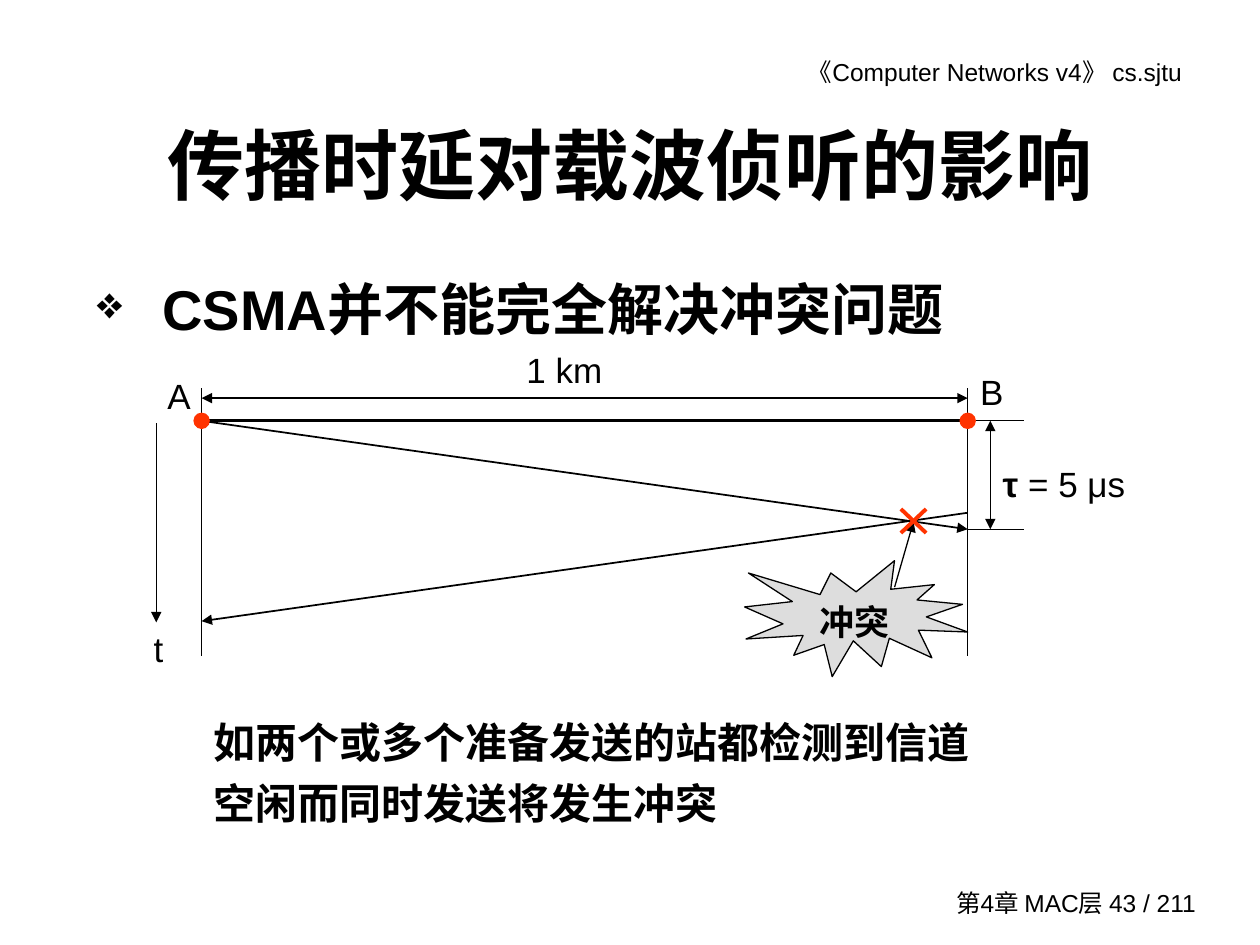
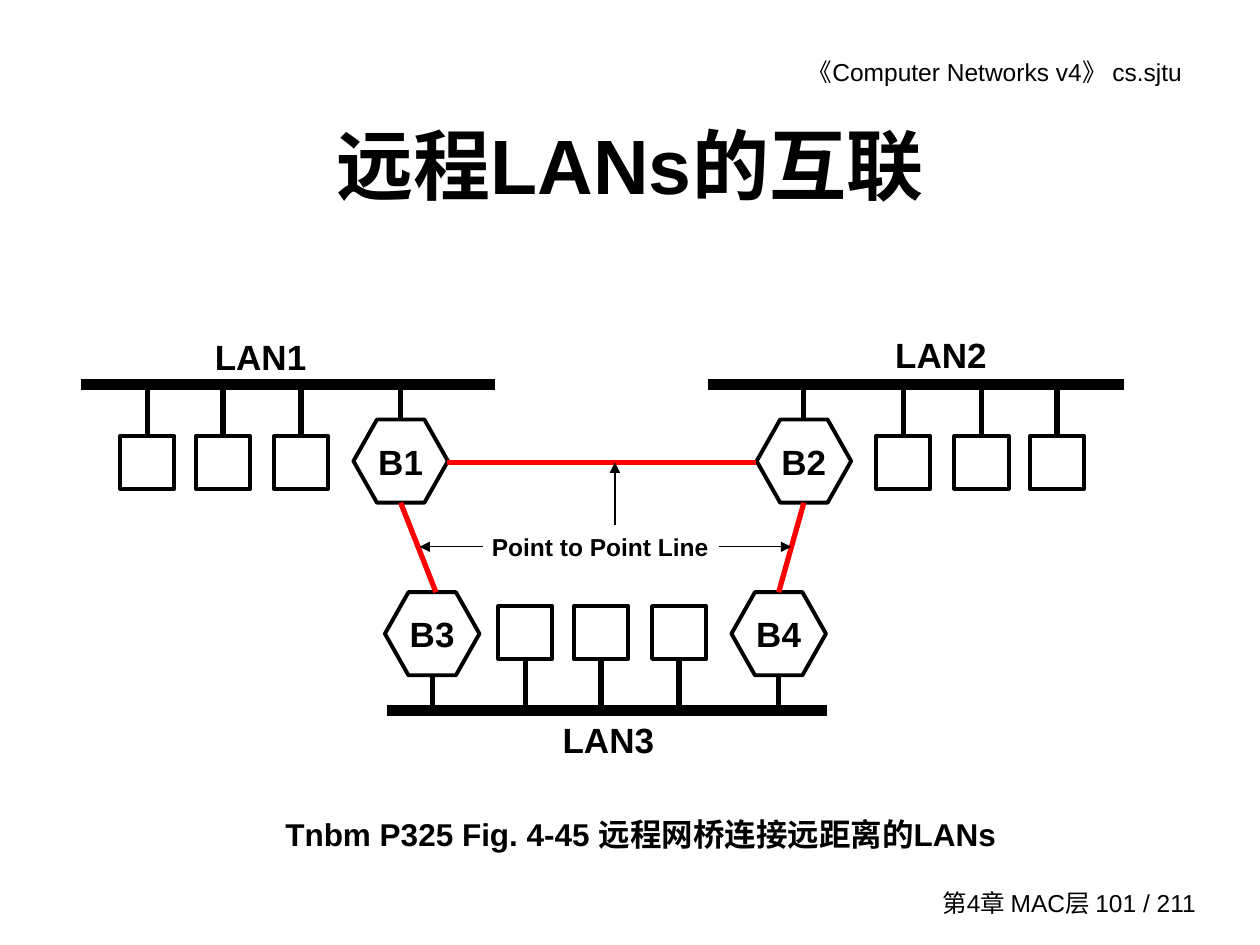
import pptx
import pptx.util
import pptx.dml.color
import pptx.enum.shapes
import pptx.enum.text
import pptx.oxml.ns
import lxml.etree

RGB = pptx.dml.color.RGBColor
KIND = pptx.enum.shapes.MSO_SHAPE
ALIGN = pptx.enum.text.PP_ALIGN
MID = pptx.enum.text.MSO_ANCHOR.MIDDLE
TOP = pptx.enum.text.MSO_ANCHOR.TOP
BLACK = RGB(0, 0, 0)
GREY = RGB(0xDD, 0xDD, 0xDD)
RED = RGB(0xFF, 0, 0)
CORAL = RGB(0xFF, 0x33, 0)
WIDTH, COLS = pptx.util.Inches(10), 10
CELL = WIDTH / COLS
HEIGHT = int(CELL * 7.5)
PAD = (0.1, 0.05, 0.1, 0.05)
SLIM = (0.02, 0.01, 0.02, 0.01)

HEAD = "《Computer Networks v4》 cs.sjtu"
FOOT = "第4章 MAC层 {} / 211"
TIMES = {"name": "Times New Roman"}
DELAY = {
    "page": 43,
    "title": [("传播时延对载波", TIMES), ("侦", {}), ("听的影响", TIMES)],
    "point": "CSMA并不能完全解决冲突问题",
    "note": "如两个或多个准备发送的站都检测到信道空闲而同时发送将发生冲突",
    "burst": "冲突",
}
LEFT, RIGHT, WIRE, LATE = 1.6, 7.68, 3.34, 4.2
RAYS = [
    ((LEFT, WIRE), (RIGHT, WIRE), 1.5, ""),
    ((LEFT, 3.08), (LEFT, 5.21), 0.75, ""),
    ((RIGHT, 3.08), (RIGHT, 5.21), 0.75, ""),
    ((LEFT, 3.16), (RIGHT, 3.16), 0.75, "both"),
    ((LEFT, WIRE), (RIGHT, LATE), 1, "tail"),
    ((LEFT, 4.93), (RIGHT, 4.07), 1, "head"),
    ((RIGHT, LATE), (8.13, LATE), 0.75, ""),
    ((RIGHT, WIRE), (8.13, WIRE), 0.75, ""),
    ((1.24, 3.36), (1.24, 4.94), 0.75, "tail"),
    ((7.86, WIRE), (7.86, LATE), 0.75, "both"),
    ((7.1, 4.66), (7.25, 4.14), 0.75, "tail"),
]
TAGS = [
    ((1.23, 2.92, 0.42, 0.46), "A", 1),
    ((4.08, 2.81, 0.9, 0.28), "1 km", 0.7),
    ((RIGHT, 2.89, 0.54, 0.54), "B", 1),
    ((7.86, 3.62, 1.39, 0.56), [("τ", {"bold": True}), (" = 5 μs", {})], 1),
    ((1.12, 4.93, 0.48, 0.43), "t", 1),
]
REMOTE = {
    "page": 101,
    "title": "远程LANs的互联",
    "label": "Point to Point Line",
    "note": "Tnbm P325 Fig. 4-45 远程网桥连接远距离的LANs",
}
STEPS = (0, 0.6, 1.22)
LANS = [
    {"name": "LAN1", "tag": (1.53, 2.61), "bar": (0.64, 3.93), "row": 3.05,
     "down": 1, "host": 1.17, "way": 1, "nodes": {"B1": 3.18}},
    {"name": "LAN2", "tag": (6.93, 2.6), "bar": (5.62, 8.92), "row": 3.05,
     "down": 1, "host": 8.39, "way": -1, "nodes": {"B2": 6.38}},
    {"name": "LAN3", "tag": (4.29, 5.65), "bar": (3.07, 6.56), "row": 5.64,
     "down": -1, "host": 4.17, "way": 1, "nodes": {"B3": 3.43, "B4": 6.18}},
]
LINKS = [((3.55, 3.67), (6, 3.67)), ((3.18, 3.99), (3.46, 4.7)),
         ((6.38, 3.99), (6.18, 4.7))]
HINTS = [((4.88, 4.17), (4.88, 3.67)), ((3.83, 4.34), (3.33, 4.34)),
         ((5.71, 4.34), (6.28, 4.34))]


def cells(*spans):
    return [round(span * CELL) for span in spans]


def node(parent, tag, **attrs):
    return lxml.etree.SubElement(parent, pptx.oxml.ns.qn(tag), attrs)


def write(shape, words, size, bold=False, align=ALIGN.LEFT, anchor=TOP,
          pad=PAD, space=1, wrap=True, bullet=""):
    frame = shape.text_frame
    sides = ("margin_left", "margin_top", "margin_right", "margin_bottom")
    look = dict(zip(sides, cells(*pad)), word_wrap=wrap, vertical_anchor=anchor)
    for key, value in look.items():
        setattr(frame, key, value)
    para = frame.paragraphs[0]
    para.alignment = align
    if space != 1:
        para.line_spacing = space
    if bullet:
        props = para._p.get_or_add_pPr()
        hang = cells(0.52)[0]
        props.set("marL", str(hang))
        props.set("indent", str(-hang))
        node(props, "a:buSzPct", val="80000")
        node(props, "a:buChar", char=bullet)
    for part, extra in [(words, {})] if isinstance(words, str) else words:
        run = para.add_run()
        run.text = part
        font = {"name": "Arial", "size": pptx.util.Pt(size), "bold": bold}
        for key, value in {**font, **extra}.items():
            setattr(run.font, key, value)
        run.font.color.rgb = BLACK


def text(slide, at, words, size, **look):
    write(slide.shapes.add_textbox(*cells(*at)), words, size, **look)


def shape(slide, kind, at, line=BLACK, width=2.25, fill=None):
    item = slide.shapes.add_shape(kind, *cells(*at))
    item.shadow.inherit = False
    if fill is None:
        item.fill.background()
    else:
        item.fill.solid()
        item.fill.fore_color.rgb = fill
    item.line.color.rgb = line
    item.line.width = pptx.util.Pt(width)
    return item


def line(slide, start, end, width=0.75, tips="", color=BLACK):
    item = slide.shapes.add_connector(
        pptx.enum.shapes.MSO_CONNECTOR.STRAIGHT, *cells(*start, *end))
    item.line.color.rgb = color
    item.line.width = pptx.util.Pt(width)
    stroke = item.line._get_or_add_ln()
    for tip in ("head", "tail"):
        if tips in (tip, "both"):
            node(stroke, f"a:{tip}End", type="triangle")
    node(item._element.spPr, "a:effectLst")
    return item


def start(deck, data):
    slide = deck.slides.add_slide(deck.slide_layouts[6])
    text(slide, (4.76, 0.4, 4.82, 0.34), HEAD, 14, align=ALIGN.RIGHT,
         pad=(0.1, 0.05, 0.2, 0.05))
    text(slide, (7.3, 7, 2.29, 0.33), FOOT.format(data["page"]), 14,
         align=ALIGN.RIGHT, anchor=MID)
    text(slide, (0.75, 0.67, 8.5, 1.25), data["title"], 44, bold=True,
         align=ALIGN.CENTER, anchor=MID, pad=SLIM)
    return slide


def delay(deck):
    slide = start(deck, DELAY)
    text(slide, (0.75, 2.17, 8.5, 0.88), DELAY["point"], 32, bold=True,
         pad=SLIM, bullet="❖")
    text(slide, (LEFT, 5.56, 6.27, 1.06), DELAY["note"], 24, bold=True, space=1.2)
    burst = shape(slide, KIND.EXPLOSION1, (5.91, 4.45, 1.77, 0.92),
                  width=0.75, fill=GREY)
    write(burst, DELAY["burst"], 20, bold=True, align=ALIGN.CENTER)
    for ray in RAYS:
        line(slide, *ray)
    for at, words, space in TAGS:
        text(slide, at, words, 20, space=space)
    for x in (LEFT, RIGHT):
        shape(slide, KIND.OVAL, (x - 0.06, WIRE - 0.06, 0.12, 0.12),
              line=CORAL, width=0.75, fill=CORAL)
    for x, end in ((7.15, 7.35), (7.35, 7.15)):
        line(slide, (x, 4.04), (end, 4.23), 2.25, color=CORAL)


def network(slide, lan):
    row, down = lan["row"], lan["down"]
    line(slide, (lan["bar"][0], row), (lan["bar"][1], row), 6)
    text(slide, (*lan["tag"], 1, 0.44), lan["name"], 20, bold=True,
         align=ALIGN.RIGHT)
    for step in STEPS:
        x, near = lan["host"] + lan["way"] * step, row + down * 0.41
        host = shape(slide, KIND.RECTANGLE,
                     (x - 0.215, min(near, near + down * 0.42), 0.43, 0.42))
        drop = line(slide, (x, near), (x, row), 3)
        drop.begin_connect(host, 0 if down > 0 else 2)
    for name, x in lan["nodes"].items():
        near = row + down * 0.28
        bridge = shape(slide, KIND.HEXAGON,
                       (x - 0.375, min(near, near + down * 0.66), 0.75, 0.66))
        bridge.adjustments[0] = 0.283
        bridge.adjustments[1] = 1.155
        write(bridge, name, 20, bold=True, align=ALIGN.CENTER, anchor=MID,
              wrap=False)
        line(slide, (x, near), (x, row), 3)


def remote(deck):
    slide = start(deck, REMOTE)
    text(slide, (3.71, 4.17, 2.11, 0.34), REMOTE["label"], 14, bold=True,
         align=ALIGN.CENTER)
    for lan in LANS:
        network(slide, lan)
    for link in LINKS:
        line(slide, *link, 3, color=RED)
    for hint in HINTS:
        line(slide, *hint, tips="tail")
    text(slide, (2.07, 6.42, 6.03, 0.4), REMOTE["note"], 18, bold=True,
         align=ALIGN.CENTER)


def main():
    deck = pptx.Presentation()
    deck.slide_width, deck.slide_height = WIDTH, HEIGHT
    delay(deck)
    remote(deck)
    deck.save("out.pptx")


if __name__ == "__main__":
    main()
